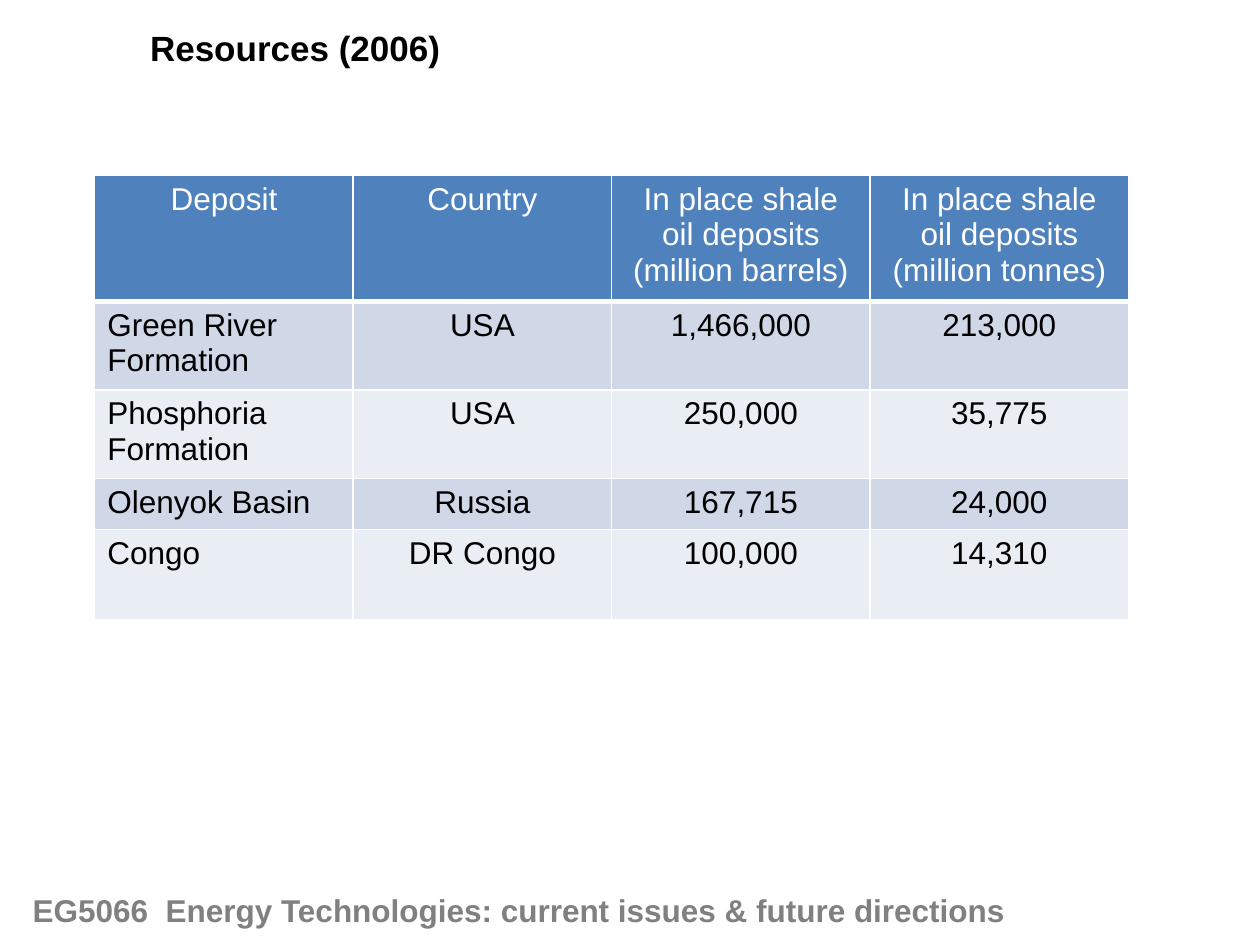
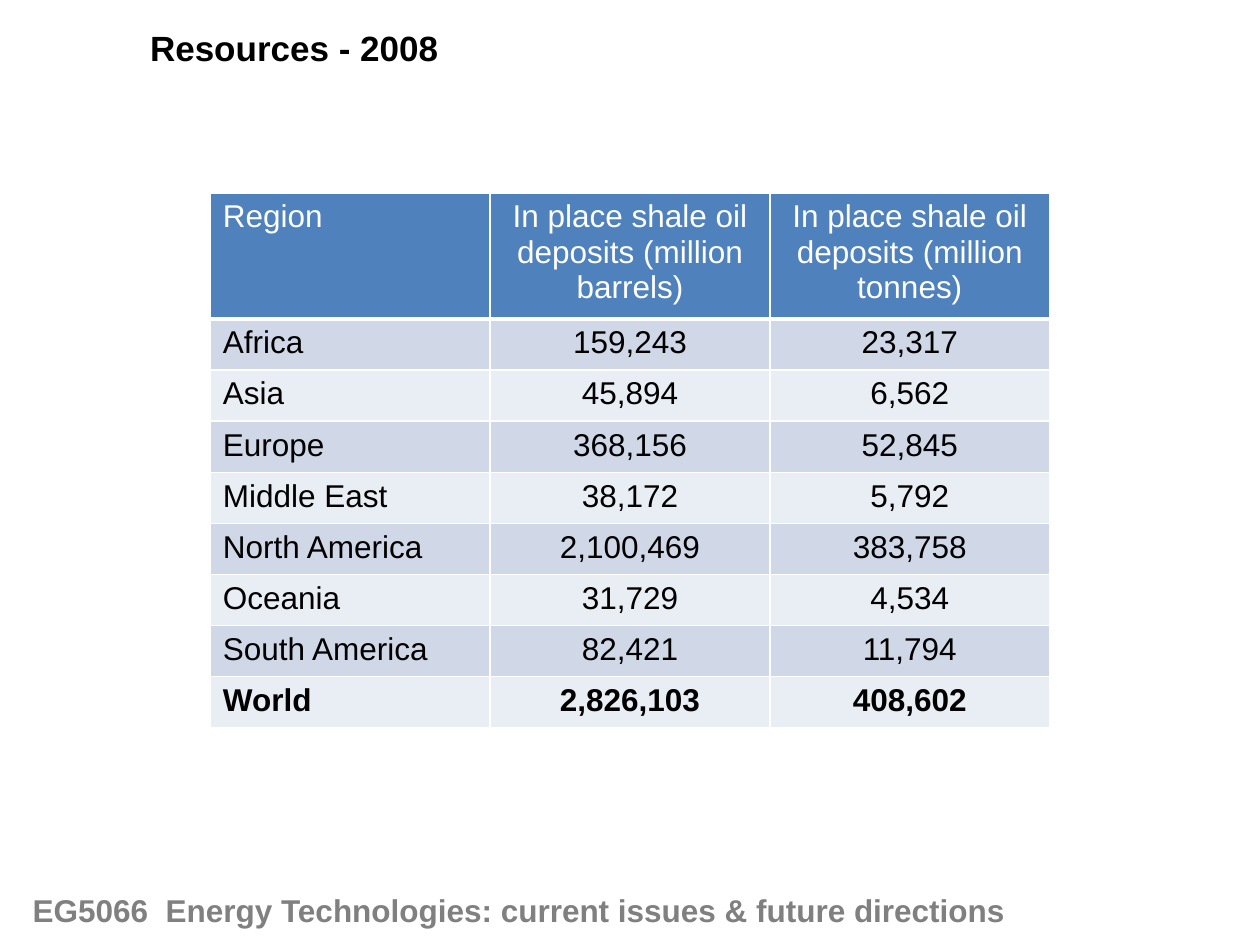
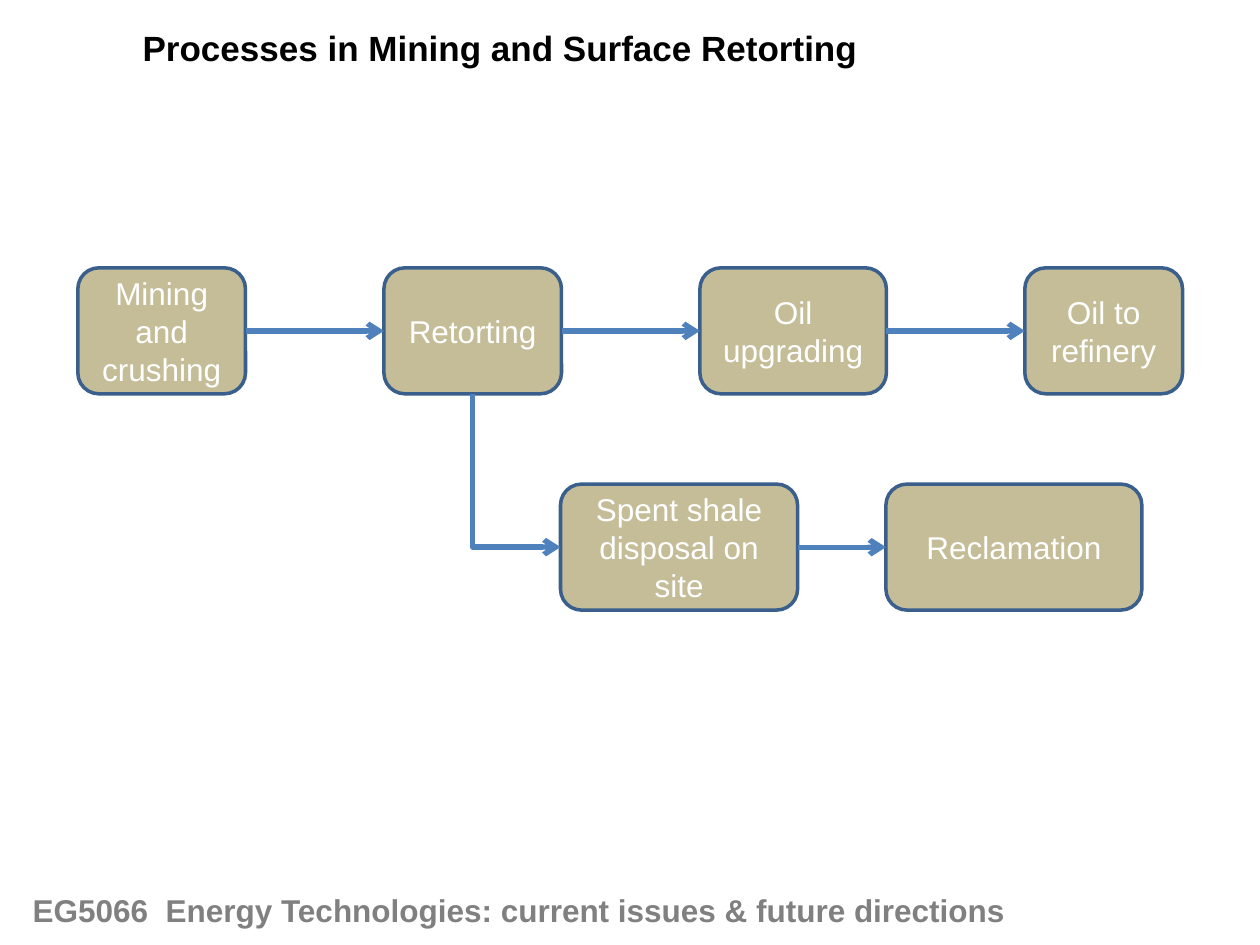
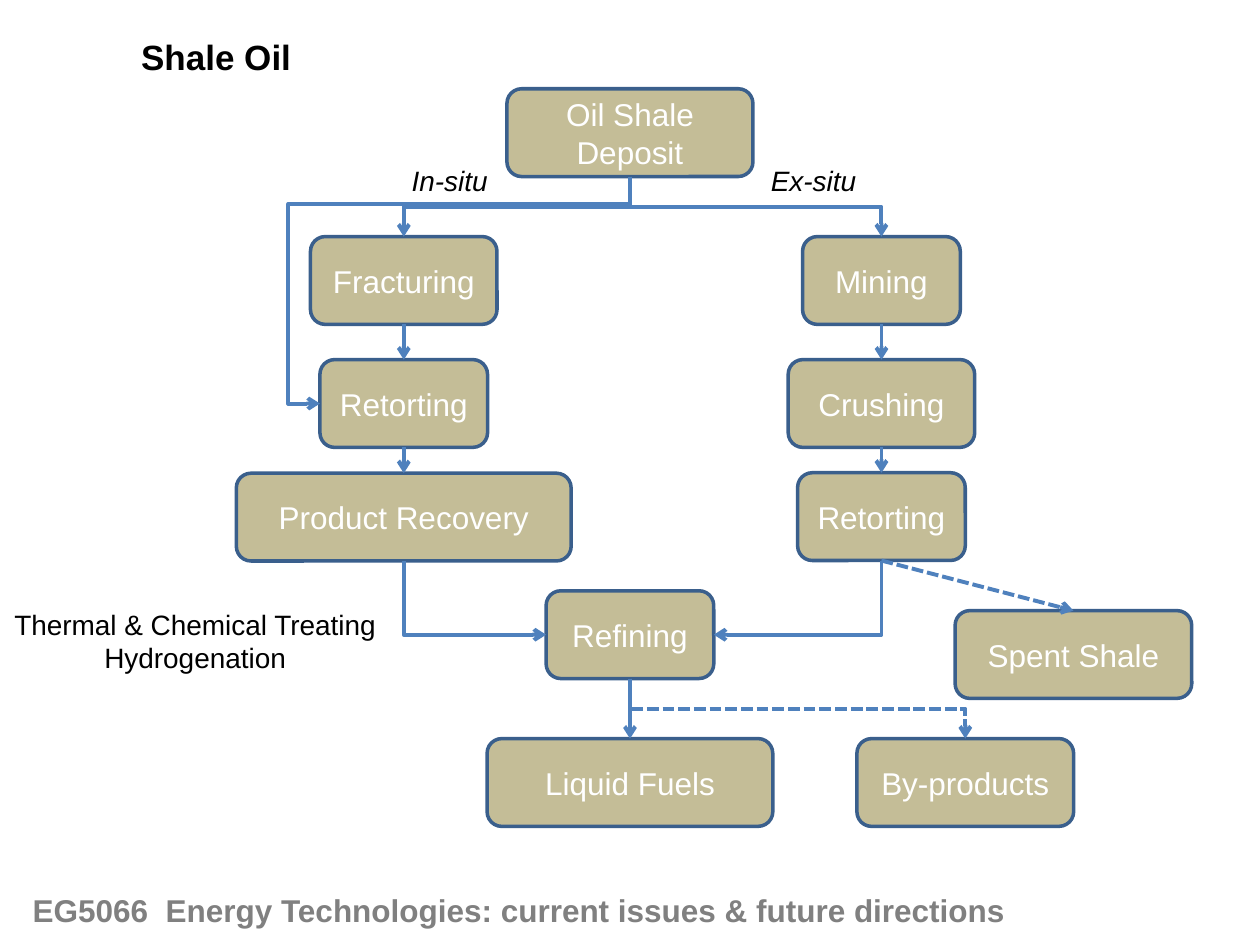
from dataclasses import dataclass

from lxml import etree
from pptx import Presentation
from pptx.dml.color import RGBColor
from pptx.enum.dml import MSO_LINE
from pptx.enum.shapes import MSO_CONNECTOR, MSO_SHAPE
from pptx.enum.text import MSO_ANCHOR, MSO_AUTO_SIZE, PP_ALIGN
from pptx.oxml.ns import qn
from pptx.util import Cm, Pt

LEFT, CENTER = PP_ALIGN.LEFT, PP_ALIGN.CENTER
TOP_ANCHOR, MIDDLE_ANCHOR = MSO_ANCHOR.TOP, MSO_ANCHOR.MIDDLE
FIT_SHAPE = MSO_AUTO_SIZE.SHAPE_TO_FIT_TEXT
ROUNDED = MSO_SHAPE.ROUNDED_RECTANGLE
STRAIGHT, ELBOW = MSO_CONNECTOR.STRAIGHT, MSO_CONNECTOR.ELBOW
DASHED = MSO_LINE.SQUARE_DOT
TOP, LEFT_SIDE, BOTTOM, RIGHT_SIDE = range(4)
TITLE_ONLY = 5


@dataclass(frozen=True)
class Theme:
    font: str = "Arial"
    black: str = "000000"
    white: str = "FFFFFF"
    footer: str = "808080"
    accent: str = "4F81BD"
    bands: tuple = ("D0D8E8", "E9EDF4")
    box_fill: str = "C4BD97"
    box_line: str = "3A5F8C"
    title_size: int = 20
    body_size: int = 18
    label_size: int = 16


THEME = Theme()

# Content; all lengths in centimetres
FOOTER = "EG5066  Energy Technologies: current issues & future directions"
IN_PLACE = "In place shale oil deposits (million {})"
BARRELS, TONNES = IN_PLACE.format("barrels"), IN_PLACE.format("tonnes")

DEPOSITS = [
    ("Deposit", "Country", BARRELS, TONNES),
    ("Green River Formation", "USA", "1,466,000", "213,000"),
    ("Phosphoria Formation", "USA", "250,000", "35,775"),
    ("Olenyok Basin", "Russia", "167,715", "24,000"),
    ("Congo", "DR Congo", "100,000", "14,310"),
]
DEPOSIT_HEIGHTS = [2.51, 1.78, 1.78, 1.03, 1.83]

REGIONS = [
    ("Region", BARRELS, TONNES),
    ("Africa", "159,243", "23,317"),
    ("Asia", "45,894", "6,562"),
    ("Europe", "368,156", "52,845"),
    ("Middle East", "38,172", "5,792"),
    ("North America", "2,100,469", "383,758"),
    ("Oceania", "31,729", "4,534"),
    ("South America", "82,421", "11,794"),
    ("World", "2,826,103", "408,602"),
]
REGION_HEIGHTS = [2.51] + [1.03] * 8

# Each row: left, top, gap, then (text, width) of its steps
MINING_ROWS = [
    (1.57, 5.4, 2.79, [("Mining and crushing", 3.38), ("Retorting", 3.58),
                       ("Oil upgrading", 3.76), ("Oil to refinery", 3.18)]),
    (11.3, 9.76, 1.78, [("Spent shale disposal on site", 4.78),
                        ("Reclamation", 5.16)]),
]
MINING_STEP_HEIGHT = 2.54

# Key: text, centre, top, width
IN_SITU, MIDDLE, EX_SITU = 8.14, 12.7, 17.77
SHALE_STEPS = {
    "deposit": ("Oil Shale Deposit", MIDDLE, 1.79, 4.96),
    "fracturing": ("Fracturing", IN_SITU, 4.77, 3.76),
    "retorting in situ": ("Retorting", IN_SITU, 7.25, 3.38),
    "recovery": ("Product Recovery", IN_SITU, 9.54, 6.75),
    "refining": ("Refining", MIDDLE, 11.91, 3.38),
    "fuels": ("Liquid Fuels", MIDDLE, 14.89, 5.76),
    "by-products": ("By-products", 19.46, 14.89, 4.37),
    "mining": ("Mining", EX_SITU, 4.77, 3.18),
    "crushing": ("Crushing", EX_SITU, 7.25, 3.76),
    "retorting ex situ": ("Retorting", EX_SITU, 9.53, 3.38),
    "spent shale": ("Spent Shale", 21.64, 12.31, 4.77),
}
SHALE_STEP_HEIGHT = 1.77
SHALE_ARROWS = [
    ("fracturing", "retorting in situ", {}),
    ("retorting in situ", "recovery", {}),
    ("mining", "crushing", {}),
    ("crushing", "retorting ex situ", {}),
    ("refining", "fuels", {}),
    ("retorting ex situ", "spent shale", {"dash": True}),
]
SHALE_ELBOWS = [
    ("deposit", "fracturing", TOP, {}),
    ("deposit", "retorting in situ", LEFT_SIDE, {"bends": (12100, 110200)}),
    ("deposit", "mining", TOP, {}),
    ("recovery", "refining", LEFT_SIDE, {}),
    ("retorting ex situ", "refining", RIGHT_SIDE, {}),
    ("refining", "by-products", TOP, {"dash": True}),
]
SHALE_LABELS = [
    ("Thermal & Chemical Treating\nHydrogenation", (0, 12.12, 7.87, 1.63),
     {"align": CENTER}),
    ("Ex-situ", (15.29, 3.18, 2.26, 0.94), {"italic": True}),
    ("In-situ", (8.05, 3.18, 2.06, 0.94), {"italic": True}),
]


# Shared helpers
def color(value):
    return RGBColor.from_string(value)


def write(frame, text, size=THEME.body_size, ink=THEME.black, bold=False,
          italic=False, align=LEFT):
    """Fill a text frame, one paragraph per line of text."""
    for index, line in enumerate(text.split("\n")):
        para = frame.paragraphs[0] if index == 0 else frame.add_paragraph()
        para.alignment = align
        span = para.add_run()
        span.text = line
        font = span.font
        font.name, font.size = THEME.font, Pt(size)
        font.bold, font.italic = bold, italic
        font.color.rgb = color(ink)


def add_label(page, text, place, wrap=False, **style):
    box = page.shapes.add_textbox(*map(Cm, place))
    box.text_frame.word_wrap = wrap
    box.text_frame.auto_size = FIT_SHAPE
    write(box.text_frame, text, **style)


def add_page(deck, title, left, top, width):
    page = deck.slides.add_slide(deck.slide_layouts[TITLE_ONLY])
    box = page.shapes.title
    box.left, box.top, box.width, box.height = map(Cm, (left, top, width, 1.11))
    frame = box.text_frame
    frame.word_wrap = False
    frame.auto_size = FIT_SHAPE
    frame.vertical_anchor = TOP_ANCHOR
    write(frame, title, size=THEME.title_size, bold=True)
    add_label(page, FOOTER, (0.41, 17.84, 21.83, 1.03), wrap=True,
              ink=THEME.footer, bold=True)
    return page


def add_borders(cell, bottom):
    properties = cell._tc.get_or_add_tcPr()
    for side, width in (("L", 1), ("R", 1), ("T", 1), ("B", bottom)):
        line = etree.SubElement(properties, qn(f"a:ln{side}"), w=str(Pt(width)))
        fill = etree.SubElement(line, qn("a:solidFill"))
        etree.SubElement(fill, qn("a:srgbClr"), val=THEME.white)


def add_data_table(page, rows, left, top, column, heights,
                   center_corner=False, total=False):
    count = len(rows[0])
    table = page.shapes.add_table(
        len(rows), count, Cm(left), Cm(top),
        Cm(column * count), Cm(sum(heights))).table
    for part in table.columns:
        part.width = Cm(column)
    for row, (values, height) in enumerate(zip(rows, heights)):
        table.rows[row].height = Cm(height)
        header = row == 0
        for index, value in enumerate(values):
            cell = table.cell(row, index)
            add_borders(cell, bottom=3 if header else 1)
            cell.fill.solid()
            cell.fill.fore_color.rgb = color(
                THEME.accent if header else THEME.bands[(row - 1) % 2])
            centered = index > 0 or (header and center_corner)
            write(cell.text_frame, value, align=CENTER if centered else LEFT,
                  ink=THEME.white if header else THEME.black,
                  bold=total and row == len(rows) - 1)


def add_step(page, text, *place):
    box = page.shapes.add_shape(ROUNDED, *map(Cm, place))
    box.shadow.inherit = False
    box.fill.solid()
    box.fill.fore_color.rgb = color(THEME.box_fill)
    box.line.color.rgb = color(THEME.box_line)
    box.line.width = Pt(2)
    box.text_frame.word_wrap = True
    box.text_frame.vertical_anchor = MIDDLE_ANCHOR
    write(box.text_frame, text, ink=THEME.white, align=CENTER)
    return box


def add_arrow(page, start, end, sides=(BOTTOM, TOP), kind=STRAIGHT,
              width=2.25, dash=False):
    arrow = page.shapes.add_connector(kind, 0, 0, 0, 0)
    arrow.begin_connect(start, sides[0])
    arrow.end_connect(end, sides[1])
    arrow.line.color.rgb = color(THEME.accent)
    arrow.line.width = Pt(width)
    if dash:
        arrow.line.dash_style = DASHED
    properties = arrow._element.spPr
    etree.SubElement(properties.find(qn("a:ln")), qn("a:tailEnd"), type="arrow")
    etree.SubElement(properties, qn("a:effectLst"))
    return arrow


def add_elbow(page, start, end, side, bends=(), **style):
    """Bent arrow that leaves the bottom of start and enters a side of end."""
    arrow = add_arrow(page, start, end, (BOTTOM, side), ELBOW, **style)
    across, down = arrow.end_x - arrow.begin_x, arrow.end_y - arrow.begin_y
    middle_x = (arrow.begin_x + arrow.end_x) // 2
    middle_y = (arrow.begin_y + arrow.end_y) // 2

    # The preset runs sideways first, so it is turned to run down first
    frame = arrow._element.spPr.find(qn("a:xfrm"))
    for flip in ("flipH", "flipV"):
        frame.attrib.pop(flip, None)
    if across > 0:
        frame.set("rot", "16200000")
        frame.set("flipH", "1")
    else:
        frame.set("rot", "5400000")
    arrow.width, arrow.height = abs(down), abs(across)
    arrow.left = middle_x - abs(down) // 2
    arrow.top = middle_y - abs(across) // 2

    geometry = arrow._element.spPr.find(qn("a:prstGeom"))
    corners = 4 if bends else 3 if side == TOP else 2
    geometry.set("prst", f"bentConnector{corners}")
    guides = geometry.find(qn("a:avLst"))
    for number, value in enumerate(bends, 1):
        etree.SubElement(guides, qn("a:gd"), name=f"adj{number}",
                         fmla=f"val {value}")


# Slides
def build_deposits(deck):
    page = add_page(deck, "Resources (2006)", 2.77, 0.41, 6.4)
    add_data_table(page, DEPOSITS, 1.91, 3.54, 5.21, DEPOSIT_HEIGHTS,
                   center_corner=True)


def build_regions(deck):
    page = add_page(deck, "Resources - 2008", 2.77, 0.41, 6.38)
    add_data_table(page, REGIONS, 4.24, 3.89, 5.64, REGION_HEIGHTS, total=True)


def build_mining(deck):
    page = add_page(deck, "Processes in Mining and Surface Retorting",
                    2.62, 0.41, 15.04)
    rows = []
    for left, top, gap, steps in MINING_ROWS:
        boxes = []
        for text, width in steps:
            boxes.append(add_step(page, text, left, top, width,
                                  MINING_STEP_HEIGHT))
            left += width + gap
        for start, end in zip(boxes, boxes[1:]):
            add_arrow(page, start, end, (RIGHT_SIDE, LEFT_SIDE), width=3)
        rows.append(boxes)
    add_elbow(page, rows[0][1], rows[1][0], LEFT_SIDE, width=3)


def build_shale_oil(deck):
    page = add_page(deck, "Shale Oil", 2.59, 0.58, 3.56)
    boxes = {
        key: add_step(page, text, center - width / 2, top, width,
                      SHALE_STEP_HEIGHT)
        for key, (text, center, top, width) in SHALE_STEPS.items()
    }
    for start, end, style in SHALE_ARROWS:
        add_arrow(page, boxes[start], boxes[end], **style)
    for start, end, side, style in SHALE_ELBOWS:
        add_elbow(page, boxes[start], boxes[end], side, **style)
    for text, place, style in SHALE_LABELS:
        add_label(page, text, place, size=THEME.label_size, **style)


def main():
    deck = Presentation()
    deck.slide_width, deck.slide_height = Cm(25.4), Cm(19.05)
    for build in (build_deposits, build_regions, build_mining, build_shale_oil):
        build(deck)
    deck.save("out.pptx")


if __name__ == "__main__":
    main()
